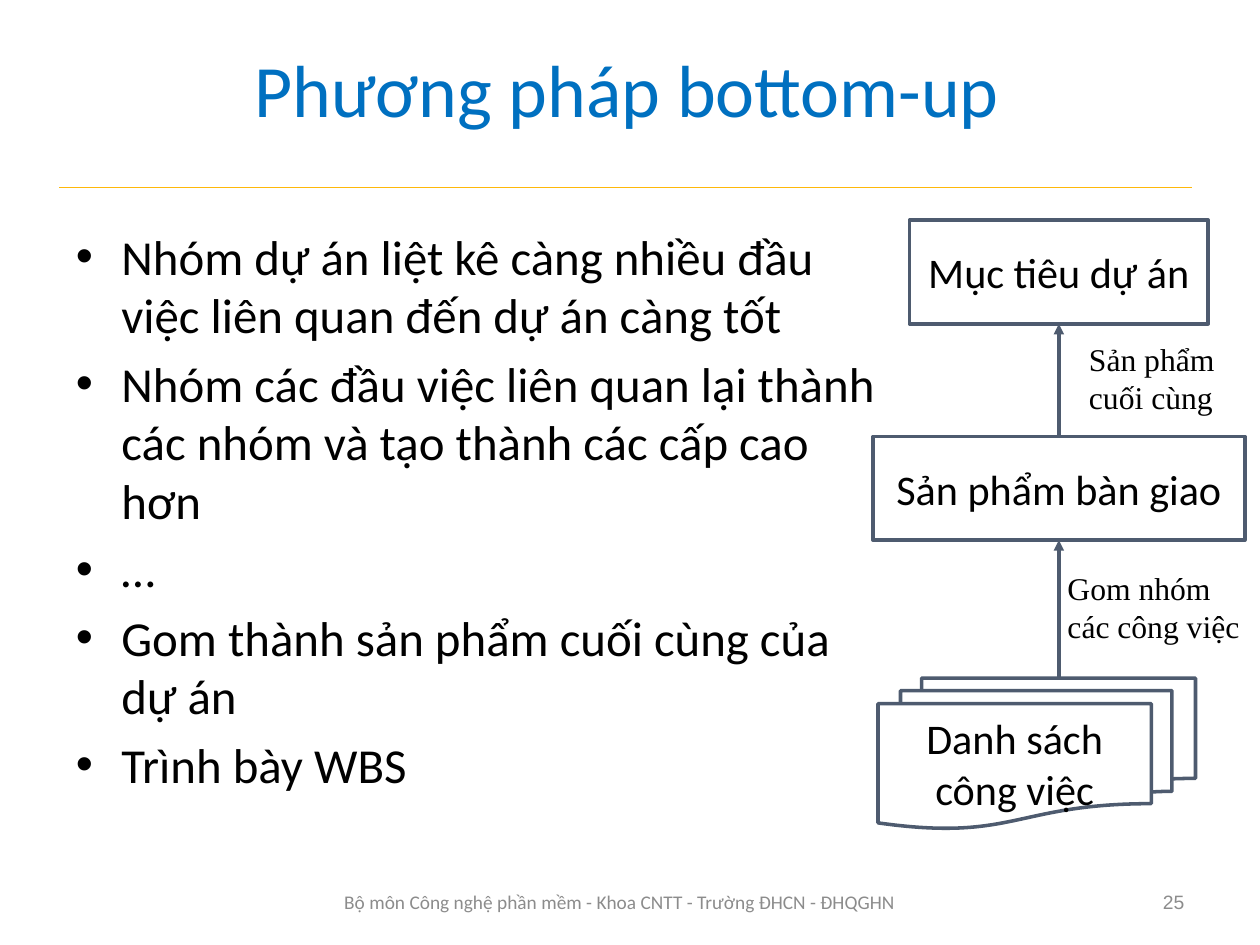
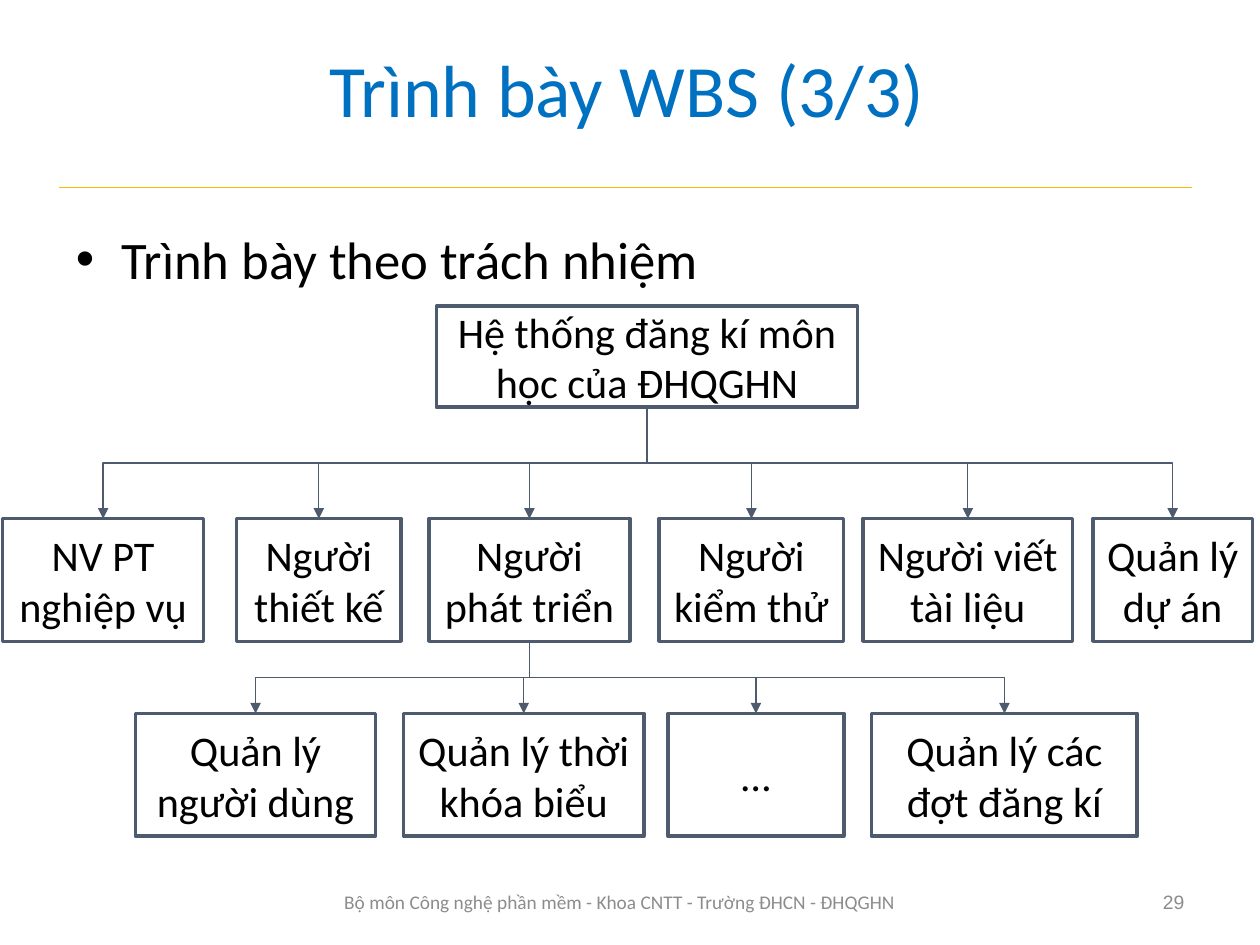
from lxml.etree import SubElement
from pptx import Presentation
from pptx.dml.color import RGBColor
from pptx.enum.shapes import MSO_CONNECTOR, MSO_SHAPE
from pptx.enum.text import MSO_ANCHOR, MSO_AUTO_SIZE, PP_ALIGN
from pptx.oxml.ns import qn
from pptx.util import Pt

PX = 9144
SLIDE_W, SLIDE_H = 996, 747
TOP, LEFT, BOTTOM = 0, 1, 2

COLORS = {
    "title": "0070C0",
    "text": "000000",
    "footer": "8C8C8C",
    "rule": "FEB80A",
    "outline": "4E5B6F",
}

FONTS = {
    "title": {"name": "Calibri", "size": Pt(42)},
    "body": {"name": "Calibri", "size": Pt(30)},
    "box": {"name": "Calibri", "size": Pt(24)},
    "note": {"name": "Times New Roman", "size": Pt(18)},
    "footer": {"name": "Calibri", "size": Pt(11)},
    "number": {"name": "Arial", "size": Pt(11)},
}

FOOTER = "Bộ môn Công nghệ phần mềm - Khoa CNTT - Trường ĐHCN - ĐHQGHN"


def px(*lengths):
    return [round(n * PX) for n in lengths]


def set_values(obj, values):
    for name, value in values.items():
        setattr(obj, name, value)


class Deck:
    def __init__(self):
        self.prs = Presentation()
        self.prs.slide_width, self.prs.slide_height = px(SLIDE_W, SLIDE_H)
        self.s = None

    def new_slide(self, title, number):
        self.s = self.prs.slides.add_slide(self.prs.slide_layouts[1])
        sp = self.s.shapes.title
        self.place(sp, 47, 7, 897, 125)
        self.fill_text(sp, [title], "title", "title", PP_ALIGN.CENTER)
        self.line((47, 148), (942, 148), "rule", 0.75)
        self.text(FOOTER, (248, 693, 484, 40), "footer", "footer",
                  PP_ALIGN.CENTER, MSO_ANCHOR.MIDDLE)
        self.text(str(number), (714, 693, 232, 40), "number", "footer",
                  PP_ALIGN.RIGHT, MSO_ANCHOR.MIDDLE)

    def place(self, sp, *rect):
        set_values(sp, dict(zip(("left", "top", "width", "height"), px(*rect))))

    def fill_text(self, sp, lines, font, color="text", align=PP_ALIGN.LEFT,
                  anchor=MSO_ANCHOR.MIDDLE, size=None):
        tf = sp.text_frame
        set_values(tf, {"word_wrap": True, "auto_size": MSO_AUTO_SIZE.NONE,
                        "vertical_anchor": anchor})
        for i, line in enumerate(lines):
            p = tf.add_paragraph() if i else tf.paragraphs[0]
            p.alignment = align
            r = p.add_run()
            r.text = line
            set_values(r.font, FONTS[font])
            if size:
                r.font.size = Pt(size)
            r.font.color.rgb = RGBColor.from_string(COLORS[color])
        return tf

    def bullets(self, lines, rect, size=30):
        sp = self.s.placeholders[1]
        self.place(sp, *rect)
        tf = self.fill_text(sp, lines, "body", anchor=MSO_ANCHOR.TOP, size=size)
        indent, = px(36)
        for p in tf.paragraphs:
            pPr = p._p.get_or_add_pPr()
            pPr.set("marL", str(indent))
            pPr.set("indent", str(-indent))

    def text(self, text, rect, font, color="text", align=PP_ALIGN.LEFT,
             anchor=MSO_ANCHOR.TOP):
        sp = self.s.shapes.add_textbox(*px(*rect))
        self.fill_text(sp, [text], font, color, align, anchor)

    def box(self, text, rect, kind=MSO_SHAPE.RECTANGLE):
        sp = self.s.shapes.add_shape(kind, *px(*rect))
        sp.shadow.inherit = False
        sp.fill.background()
        self.outline(sp, "outline", 2)
        self.fill_text(sp, [text], "box", align=PP_ALIGN.CENTER)
        return sp

    def outline(self, sp, color, width):
        sp.line.color.rgb = RGBColor.from_string(COLORS[color])
        sp.line.width = Pt(width)

    def finish(self, c, color, width, arrow):
        self.outline(c, color, width)
        spPr = c._element.spPr
        if arrow:
            SubElement(spPr.find(qn("a:ln")), qn("a:tailEnd"), type="triangle")
        SubElement(spPr, qn("a:effectLst"))

    def line(self, start, end, color="outline", width=2, arrow=False,
             source=None, target=None):
        c = self.s.shapes.add_connector(MSO_CONNECTOR.STRAIGHT, *px(*start, *end))
        if source:
            c.begin_connect(source, TOP)
        if target:
            c.end_connect(target, BOTTOM)
        self.finish(c, color, width, arrow)

    def branch(self, parent, child):
        x1, y1 = parent.left + parent.width // 2, parent.top + parent.height
        x2, y2 = child.left + child.width // 2, child.top
        c = self.s.shapes.add_connector(MSO_CONNECTOR.ELBOW, x1, y1, x2, y2)
        c.begin_connect(parent, BOTTOM)
        c.end_connect(child, TOP)
        drop, span = y2 - y1, abs(x2 - x1)
        set_values(c, {"left": (x1 + x2 - drop) // 2, "top": (y1 + y2 - span) // 2,
                       "width": drop, "height": span})
        rightward = x2 > x1
        xfrm = c._element.spPr.find(qn("a:xfrm"))
        xfrm.set("rot", str((270 if rightward else 90) * 60000))
        xfrm.set("flipH", "1" if rightward else "0")
        self.finish(c, "outline", 0.75, True)

    def row(self, items, top, height):
        return [self.box(text, (x, top, w, height)) for text, x, w in items]


def bottom_up(deck):
    deck.new_slide("Phương pháp bottom-up", 25)
    deck.bullets([
        "Nhóm dự án liệt kê càng nhiều đầu việc liên quan đến dự án càng tốt",
        "Nhóm các đầu việc liên quan lại thành các nhóm và tạo thành các cấp cao hơn",
        "…",
        "Gom thành sản phẩm cuối cùng của dự án",
        "Trình bày WBS",
    ], (50, 174, 664, 493), 27.8)
    goal = deck.box("Mục tiêu dự án", (719, 174, 236, 82))
    product = deck.box("Sản phẩm bàn giao", (690, 345, 294, 82))
    deck.box("Danh sách công việc", (694, 536, 251, 119),
             MSO_SHAPE.FLOWCHART_MULTIDOCUMENT)
    deck.line((837, 345), (837, 256), arrow=True, source=product, target=goal)
    deck.line((837, 536), (837, 427), arrow=True, target=product)
    deck.text("Sản phẩm cuối cùng", (851, 264, 144, 71), "note")
    deck.text("Gom nhóm các công việc", (834, 445, 160, 71), "note")


def wbs_by_role(deck):
    deck.new_slide("Trình bày WBS (3/3)", 29)
    deck.bullets(["Trình bày theo trách nhiệm"], (50, 174, 897, 58))
    system = deck.box("Hệ thống đăng kí môn học của ĐHQGHN", (345, 242, 333, 80))
    roles = deck.row([
        ("NV PT nghiệp vụ", 2, 159),
        ("Người thiết kế", 187, 130),
        ("Người phát triển", 339, 159),
        ("Người kiểm thử", 521, 146),
        ("Người viết tài liệu", 682, 166),
        ("Quản lý dự án", 864, 126),
    ], 410, 97)
    modules = deck.row([
        ("Quản lý người dùng", 107, 190),
        ("Quản lý thời khóa biểu", 319, 190),
        ("…", 528, 139),
        ("Quản lý các đợt đăng kí", 689, 210),
    ], 564, 97)
    developer = roles[2]
    for parent, children in ((system, roles), (developer, modules)):
        for child in children:
            deck.branch(parent, child)


def main():
    deck = Deck()
    bottom_up(deck)
    wbs_by_role(deck)
    deck.prs.save("out.pptx")


if __name__ == "__main__":
    main()
